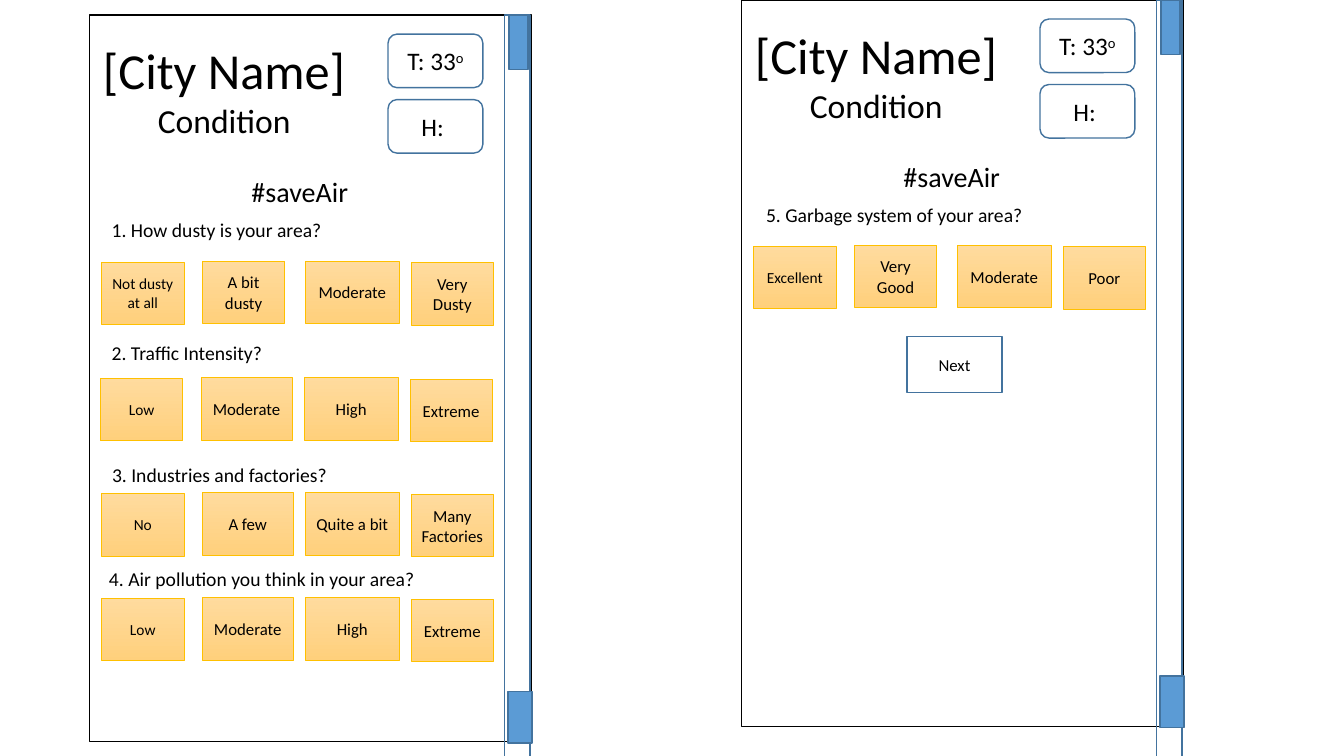
from pptx import Presentation
from pptx.dml.color import RGBColor
from pptx.enum import shapes, text
from pptx.util import Cm, Pt

THEME = {
    "font": "Calibri", "ink": "000000", "paper": "FFFFFF",
    "edge": "43739E", "thumb": "5B9BD5",
    "gold": "FFC000", "top": "FFDB9E", "low": "FFD07C",
    "city": 36, "state": 24, "stat": 18, "tag": 20,
    "ask": 14, "pick": 12, "first": 11,
}

# Panel: origin, questions, button. All lengths in cm, relative to the panel.
# Question: wording, left, top, width, (answers left, top), second width, answers
PANELS = [
    ((2.26, 0.38), [
        ("1. How dusty is your area?", 0.28, 4.98, 5.84, (0.3, 6.2), 2.08,
         ["Not dusty at all", "A bit dusty", "Moderate", "Very Dusty"]),
        ("2. Traffic Intensity?", 0.28, 8.08, 4.34, (0.27, 9.14), 2.29,
         ["Low", "Moderate", "High", "Extreme"]),
        ("3. Industries and factories?", 0.28, 11.15, 5.99, (0.3, 12.04), 2.29,
         ["No", "A few", "Quite a bit", "Many Factories"]),
        ("4. Air pollution you think in your area?", 0.2, 13.79, 8.28,
         (0.3, 14.68), 2.29, ["Low", "Moderate", "High", "Extreme"]),
    ], None),
    ((18.69, 0), [
        ("5. Garbage system of your area?", 0.33, 4.98, 7.04, (0.3, 6.18), 2.08,
         ["Excellent", "Very Good", "Moderate", "Poor"]),
    ], "Next"),
]
STATS = [("T: 33", "o"), ("H: ", "")]
STEPS = [0, 2.54, 5.14, 7.8]    # left of each answer within its row
DROPS = [0.02, 0, 0, 0.04]      # small lowering of the outer answers

RECT = shapes.MSO_SHAPE.RECTANGLE
ROUND = shapes.MSO_SHAPE.ROUNDED_RECTANGLE

prs = Presentation()
prs.slide_width, prs.slide_height = Cm(33.87), Cm(19.05)
slide = prs.slides.add_slide(prs.slide_layouts[6])


def tint(name):
    return RGBColor.from_string(THEME[name])


def write(frame, words, size="pick", sup="", new=False):
    """Put one centred paragraph in a text frame, with an optional superscript."""
    par = frame.add_paragraph() if new else frame.paragraphs[0]
    par.alignment = text.PP_ALIGN.CENTER
    for part in filter(None, (words, sup)):
        run = par.add_run()
        run.text = part
        run.font.name = THEME["font"]
        run.font.size = Pt(THEME[size])
        run.font.color.rgb = tint("ink")
    if sup:
        run.font._element.set("baseline", "30000")


def label(x, y, w, h, *lines):
    """Add an unwrapped text box; each line is (words, size)."""
    frame = slide.shapes.add_textbox(Cm(x), Cm(y), Cm(w), Cm(h)).text_frame
    frame.word_wrap = False
    frame.auto_size = text.MSO_AUTO_SIZE.SHAPE_TO_FIT_TEXT
    for i, (words, size) in enumerate(lines):
        write(frame, words, size, new=i > 0)


def box(x, y, w, h, kind=RECT, fill=None, line="edge", width=1):
    shape = slide.shapes.add_shape(kind, Cm(x), Cm(y), Cm(w), Cm(h))
    shape.shadow.inherit = False
    shape.line.color.rgb = tint(line)
    shape.line.width = Pt(width)
    if fill == "blend":
        shape.fill.gradient()
        shape.fill.gradient_angle = 270
        for stop, name in zip(shape.fill.gradient_stops, ("top", "low")):
            stop.color.rgb = tint(name)
    elif fill:
        shape.fill.solid()
        shape.fill.fore_color.rgb = tint(fill)
    else:
        shape.fill.background()
    shape.text_frame.vertical_anchor = text.MSO_ANCHOR.MIDDLE
    return shape.text_frame


def header(x, y):
    label(x + 0.05, y + 0.48, 6.68, 2.82,
          ("[City Name]", "city"), ("Condition", "state"))
    for i, (words, sup) in enumerate(STATS):
        frame = box(x + 7.52, y + 0.48 + 1.65 * i, 2.39, 1.35, ROUND)
        write(frame, words, "stat", sup)
    label(x + 3.81, y + 3.89, 2.97, 1.12, ("#saveAir", "tag"))


def scroll(x, y):
    box(x + 10.46, y, 0.64, 22.61)
    box(x + 10.57, y, 0.48, 1.37, fill="thumb")
    box(x + 10.54, y + 17.04, 0.61, 1.3, fill="thumb")


for (x, y), asks, button in PANELS:
    box(x, y, 11.13, 18.31, fill="paper", line="ink")
    header(x, y)
    for ask, left, top, wide, (col, row), second, picks in asks:
        label(x + left, y + top, wide, 0.86, (ask, "ask"))
        widths = [2.08, second, 2.36, 2.08]
        for i, (pick, step, w, drop) in enumerate(zip(picks, STEPS, widths, DROPS)):
            frame = box(x + col + step, y + row + drop, w, 1.57,
                        fill="blend", line="gold", width=0.5)
            write(frame, pick, "pick" if i else "first")
    if button:
        write(box(x + 4.17, y + 8.48, 2.39, 1.42), button)
    scroll(x, y)

prs.save("out.pptx")
